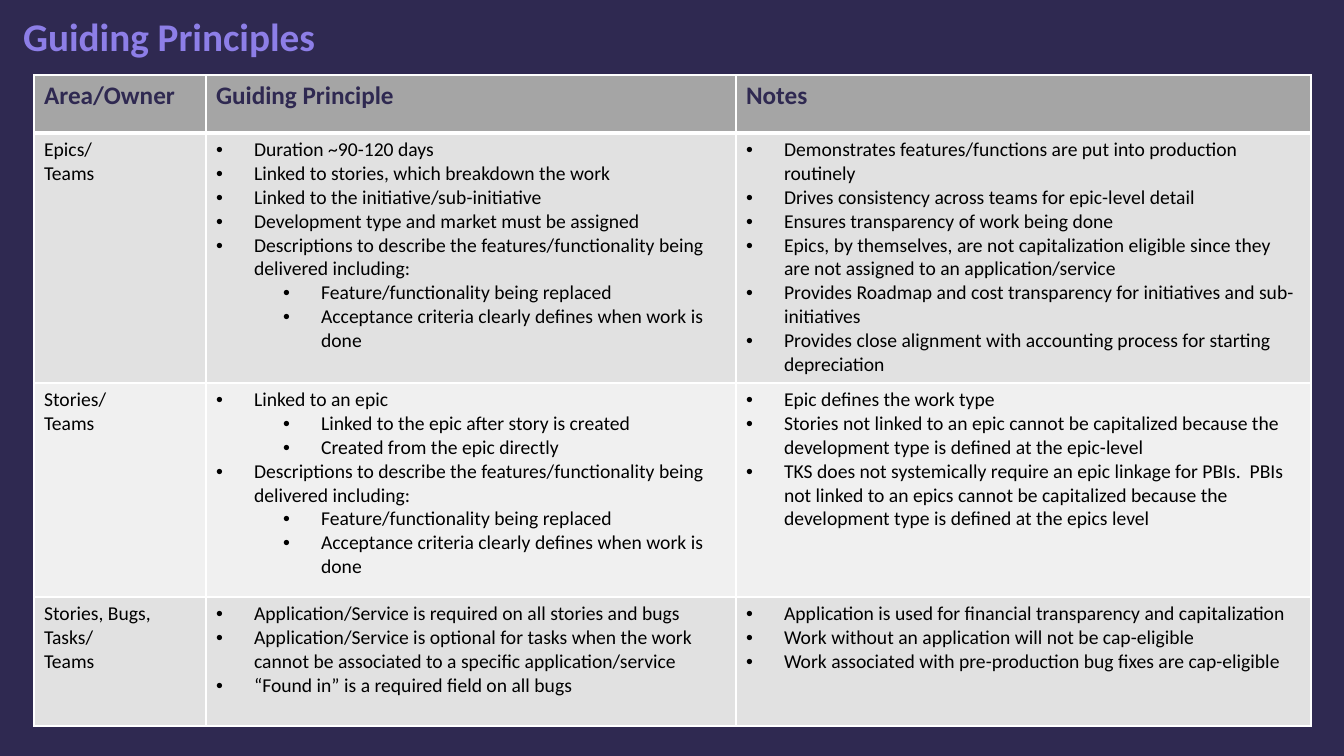
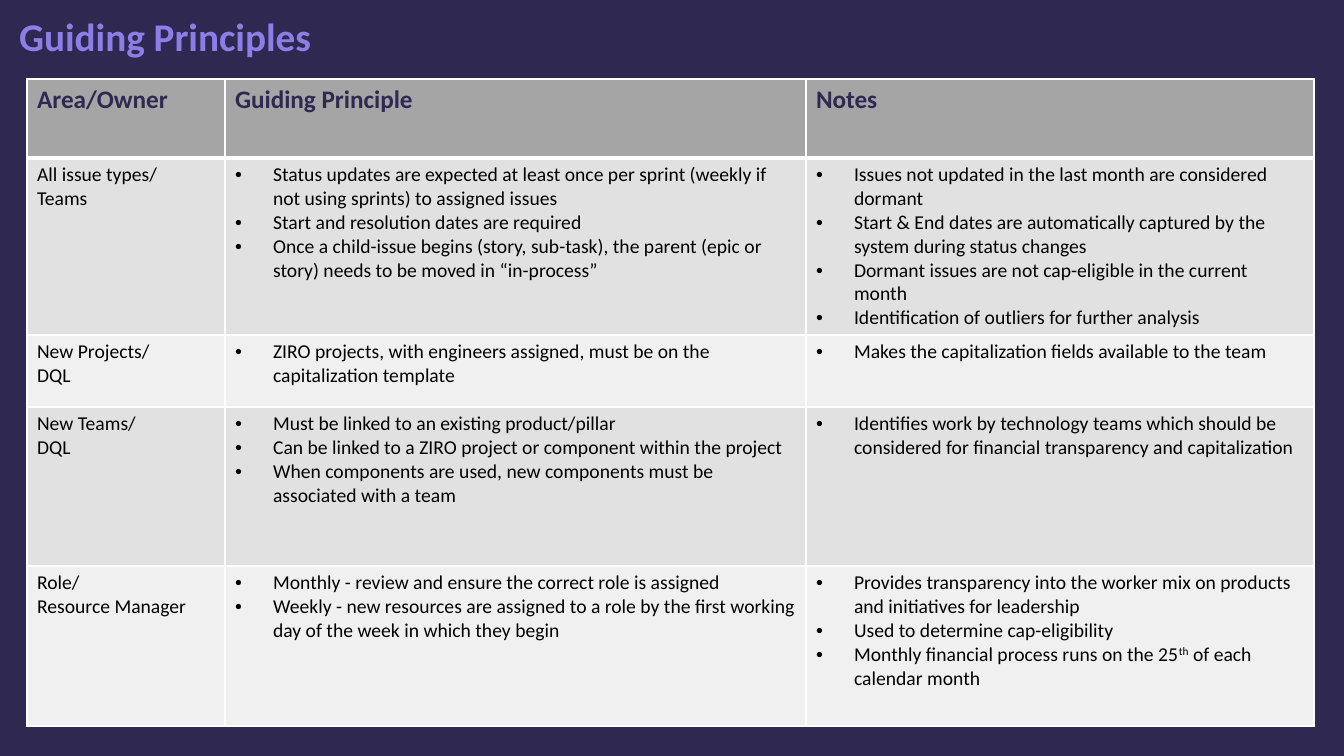
from lxml.etree import SubElement
from pptx import Presentation
from pptx.dml.color import RGBColor
from pptx.enum.text import MSO_ANCHOR, MSO_AUTO_SIZE, PP_ALIGN
from pptx.oxml import parse_xml
from pptx.oxml.ns import nsdecls, qn
from pptx.util import Emu, Pt

PX = 914400 / 100.8
NAVY = RGBColor(0x2F, 0x29, 0x51)
VIOLET = RGBColor(0x8D, 0x7E, 0xE7)
HEADER_GREY = RGBColor(0xA5, 0xA5, 0xA5)
BANDS = (RGBColor(0xE1, 0xE1, 0xE1), RGBColor(0xF0, 0xF0, 0xF0))
WHITE = RGBColor(0xFF, 0xFF, 0xFF)
BLACK = RGBColor(0, 0, 0)
FONT = "Calibri"
HANGING = 38
INDENTS = (38, 105)
SUB = "> "
RAISED = "^"
TITLE = "Guiding Principles"
HEADINGS = ("Area/Owner", "Guiding Principle", "Notes")


def px(length):
    """Turn picture pixels into EMU."""
    return Emu(round(length * PX))


class Deck:
    """Holds the shared style and the current slide."""

    def __init__(self):
        """Start an empty widescreen presentation."""
        self.prs = Presentation()
        self.prs.slide_width, self.prs.slide_height = px(1344), px(756)
        self.slide = None

    def add_slide(self, title, left):
        """Add a slide with the dark background and its title."""
        self.slide = self.prs.slides.add_slide(self.prs.slide_layouts[5])
        background = self.slide.background.fill
        background.solid()
        background.fore_color.rgb = NAVY
        heading = self.slide.shapes.title
        heading.left, heading.top, heading.width, heading.height = map(px, (left, 13, 1247, 79))
        frame = heading.text_frame
        frame.word_wrap = True
        frame.auto_size = MSO_AUTO_SIZE.NONE
        frame.vertical_anchor = MSO_ANCHOR.TOP
        paragraph = frame.paragraphs[0]
        paragraph.alignment = PP_ALIGN.LEFT
        paragraph.line_spacing = 0.9
        self.add_runs(paragraph, title, 28, VIOLET, True)

    def add_runs(self, paragraph, text, size, color, bold):
        """Add text run by run, raising the parts between markers."""
        for index, part in enumerate(text.split(RAISED)):
            run = paragraph.add_run()
            run.text = part
            font = run.font
            font.name, font.size, font.bold = FONT, Pt(size), bold
            font.color.rgb = color
            if index % 2:
                run._r.get_or_add_rPr().set("baseline", "30000")

    def add_bullet(self, paragraph, level):
        """Give a paragraph a hanging bullet at its level."""
        paragraph.level = level
        props = paragraph._p.get_or_add_pPr()
        props.set("marL", str(px(INDENTS[level])))
        props.set("indent", str(px(-HANGING)))
        SubElement(props, qn("a:buFont")).set("typeface", "Arial")
        SubElement(props, qn("a:buChar")).set("char", "•")

    def add_borders(self, cell, top, bottom):
        """Draw white cell borders with the given top and bottom widths."""
        props = cell._tc.get_or_add_tcPr()
        for index, (side, width) in enumerate((("L", 1), ("R", 1), ("T", top), ("B", bottom))):
            props.insert(index, parse_xml(
                f'<a:ln{side} {nsdecls("a")} w="{Pt(width)}"><a:solidFill>'
                f'<a:srgbClr val="{WHITE}"/></a:solidFill></a:ln{side}>'))

    def fill_cell(self, cell, lines, fill, size, color, bold=False, bulleted=False):
        """Write the lines of one cell on its fill colour."""
        cell.fill.solid()
        cell.fill.fore_color.rgb = fill
        frame = cell.text_frame
        for index, line in enumerate(lines):
            paragraph = frame.add_paragraph() if index else frame.paragraphs[0]
            if bulleted:
                self.add_bullet(paragraph, int(line.startswith(SUB)))
            self.add_runs(paragraph, line.removeprefix(SUB), size, color, bold)

    def add_principles(self, left, top, widths, heights, areas):
        """Add the table of areas, principles and notes."""
        table = self.slide.shapes.add_table(
            len(heights), len(widths), px(left), px(top),
            px(sum(widths)), px(sum(heights))).table
        for column, width in zip(table.columns, widths):
            column.width = px(width)
        for row, height in zip(table.rows, heights):
            row.height = px(height)
        for column, heading in enumerate(HEADINGS):
            cell = table.cell(0, column)
            self.fill_cell(cell, [heading], HEADER_GREY, 18, NAVY, bold=True)
            self.add_borders(cell, 1, 3)
        for row, area in enumerate(areas, 1):
            for column, lines in enumerate(area):
                cell = table.cell(row, column)
                self.fill_cell(cell, lines, BANDS[(row - 1) % 2], 14, BLACK, bulleted=column > 0)
                self.add_borders(cell, 3 if row == 1 else 1, 1)


DESCRIPTIONS = [
    "Descriptions to describe the features/functionality being delivered including:",
    "> Feature/functionality being replaced",
    "> Acceptance criteria clearly defines when work is done",
]

WORK_ITEMS = [
    (["Epics/", "Teams"],
     ["Duration ~90-120 days",
      "Linked to stories, which breakdown the work",
      "Linked to the initiative/sub-initiative",
      "Development type and market must be assigned",
      *DESCRIPTIONS],
     ["Demonstrates features/functions are put into production routinely",
      "Drives consistency across teams for epic-level detail",
      "Ensures transparency of work being done",
      "Epics, by themselves, are not capitalization eligible since they are not assigned "
      "to an application/service",
      "Provides Roadmap and cost transparency for initiatives and sub-initiatives",
      "Provides close alignment with accounting process for starting depreciation"]),
    (["Stories/", "Teams"],
     ["Linked to an epic",
      "> Linked to the epic after story is created",
      "> Created from the epic directly",
      *DESCRIPTIONS],
     ["Epic defines the work type",
      "Stories not linked to an epic cannot be capitalized because the development type "
      "is defined at the epic-level",
      "TKS does not systemically require an epic linkage for PBIs.  PBIs not linked to an "
      "epics cannot be capitalized because the development type is defined at the epics level"]),
    (["Stories, Bugs, Tasks/", "Teams"],
     ["Application/Service is required on all stories and bugs",
      "Application/Service is optional for tasks when the work cannot be associated to a "
      "specific application/service",
      "“Found in” is a required field on all bugs"],
     ["Application is used for financial transparency and capitalization",
      "Work without an application will not be cap-eligible",
      "Work associated with pre-production bug fixes are cap-eligible"]),
]

ISSUES_AND_ROLES = [
    (["All issue types/", "Teams"],
     ["Status updates are expected at least once per sprint (weekly if not using sprints) "
      "to assigned issues",
      "Start and resolution dates are required",
      "Once a child-issue begins (story, sub-task), the parent (epic or story) needs to be "
      "moved in “in-process”"],
     ["Issues not updated in the last month are considered dormant",
      "Start & End dates are automatically captured by the system during status changes",
      "Dormant issues are not cap-eligible in the current month",
      "Identification of outliers for further analysis"]),
    (["New Projects/", "DQL"],
     ["ZIRO projects, with engineers assigned, must be on the capitalization template"],
     ["Makes the capitalization fields available to the team"]),
    (["New Teams/", "DQL"],
     ["Must be linked to an existing product/pillar",
      "Can be linked to a ZIRO project or component within the project",
      "When components are used, new components must be associated with a team"],
     ["Identifies work by technology teams which should be considered for financial "
      "transparency and capitalization"]),
    (["Role/", "Resource Manager"],
     ["Monthly - review and ensure the correct role is assigned",
      "Weekly - new resources are assigned to a role by the first working day of the week "
      "in which they begin"],
     ["Provides transparency into the worker mix on products and initiatives for leadership",
      "Used to determine cap-eligibility",
      "Monthly financial process runs on the 25^th^ of each calendar month"]),
]

deck = Deck()
deck.add_slide(TITLE, 13)
deck.add_principles(34, 75, (172, 530, 575), (58, 250, 214, 129), WORK_ITEMS)
deck.add_slide(TITLE, 9)
deck.add_principles(27, 79, (198, 581, 508), (79, 177, 72, 159, 160), ISSUES_AND_ROLES)
deck.prs.save("out.pptx")
